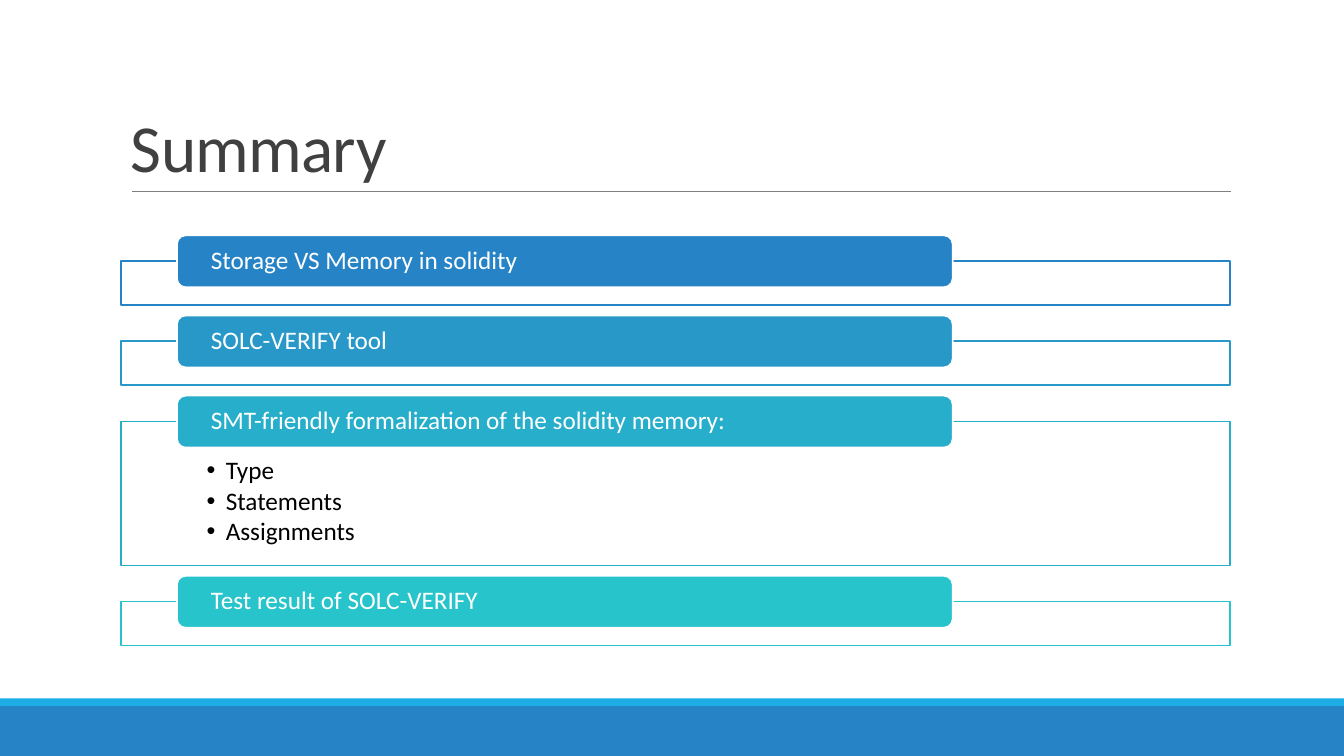
from lxml import etree
from pptx import Presentation
from pptx.dml.color import RGBColor
from pptx.enum import shapes, text
from pptx.oxml import ns
from pptx.util import Cm, Pt

WHITE = RGBColor(0xFF, 0xFF, 0xFF)
BLACK = RGBColor(0, 0, 0)
DARK = RGBColor(0x40, 0x40, 0x40)
GRAY = RGBColor(0x80, 0x80, 0x80)
SKY = RGBColor(0x1C, 0xAD, 0xE4)
BLUE = RGBColor(0x26, 0x83, 0xC6)
AZURE = RGBColor(0x27, 0x98, 0xC8)
CYAN = RGBColor(0x27, 0xAE, 0xCA)
TEAL = RGBColor(0x28, 0xC4, 0xCC)

LEFT, WIDTH = 3.05, 27.94
HEADER_LEFT, HEADER_WIDTH, HEADER_HEIGHT = 4.46, 19.55, 1.31
OVERLAP, GAP = 0.65, 0.26
EMPTY, FILLED = 1.11, 3.63

SECTIONS = [
    ("Storage VS Memory in solidity", BLUE, []),
    ("SOLC-VERIFY tool", AZURE, []),
    ("SMT-friendly formalization of the solidity memory:", CYAN,
     ["Type", "Statements", "Assignments"]),
    ("Test result of SOLC-VERIFY", TEAL, []),
]


def write(sp, lines, size=18, color=BLACK, anchor=text.MSO_ANCHOR.TOP,
          insets=(0.25, 0.13, 0.25, 0.13), spacing=0.9, after=0,
          bullet=False, tracking=None):
    tf = sp.text_frame
    tf.word_wrap = True
    tf.auto_size = text.MSO_AUTO_SIZE.NONE
    tf.vertical_anchor = anchor
    tf.margin_left, tf.margin_top, tf.margin_right, tf.margin_bottom = map(Cm, insets)
    for i, line in enumerate(lines):
        p = tf.paragraphs[0] if i == 0 else tf.add_paragraph()
        p.alignment = text.PP_ALIGN.LEFT
        p.line_spacing = spacing
        p.space_before, p.space_after = Pt(0), Pt(after)
        if bullet:
            pPr = p._p.get_or_add_pPr()
            pPr.set("marL", str(Cm(0.48)))
            pPr.set("indent", str(Cm(-0.48)))
            etree.SubElement(pPr, ns.qn("a:buChar")).set("char", "•")
        r = p.add_run()
        r.text = line
        r.font.name, r.font.size = "Calibri", Pt(size)
        r.font.color.rgb = color
        if tracking is not None:
            r._r.get_or_add_rPr().set("spc", str(int(tracking * 100)))


class SummarySlide:
    def __init__(self, prs):
        self.s = prs.slides.add_slide(prs.slide_layouts[1])
        self.line_width = Pt(1.25)

    def place(self, sp, x, y, w, h):
        sp.left, sp.top, sp.width, sp.height = map(Cm, (x, y, w, h))
        return sp

    def paint(self, sp, fill, line=None):
        sp.fill.solid()
        sp.fill.fore_color.rgb = fill
        if line is None:
            sp.line.fill.background()
        else:
            sp.line.color.rgb = line
            sp.line.width = self.line_width

    def box(self, x, y, w, h, fill, line=None, kind=shapes.MSO_SHAPE.RECTANGLE):
        sp = self.s.shapes.add_shape(kind, *map(Cm, (x, y, w, h)))
        sp.shadow.inherit = False
        self.paint(sp, fill, line)
        return sp

    def rule(self, x1, x2, y):
        cxn = self.s.shapes.add_connector(
            shapes.MSO_CONNECTOR.STRAIGHT, Cm(x1), Cm(y), Cm(x2), Cm(y))
        cxn.line.color.rgb, cxn.line.width = GRAY, Pt(0.5)
        etree.SubElement(cxn._element.spPr, ns.qn("a:effectLst"))

    def title(self, words):
        sp = self.place(self.s.shapes.title, LEFT, 0.79, WIDTH, 4.04)
        write(sp, [words], size=48, color=DARK, spacing=0.85,
              anchor=text.MSO_ANCHOR.BOTTOM, tracking=-0.5)

    def list(self, items, y, color):
        sp = self.place(self.s.placeholders[1], LEFT, y, WIDTH, FILLED)
        self.paint(sp, WHITE, color)
        write(sp, items, insets=(2.16, 0.91, 2.16, 0.36), after=2.5, bullet=True)

    def header(self, words, y, color):
        sp = self.box(HEADER_LEFT, y, HEADER_WIDTH, HEADER_HEIGHT, color, WHITE,
                      shapes.MSO_SHAPE.ROUNDED_RECTANGLE)
        write(sp, [words], color=WHITE, anchor=text.MSO_ANCHOR.MIDDLE,
              insets=(0.79, 0, 0.79, 0))

    def section(self, words, color, items, y):
        height = FILLED if items else EMPTY
        if items:
            self.list(items, y + OVERLAP, color)
        else:
            self.box(LEFT, y + OVERLAP, WIDTH, height, WHITE, color)
        self.header(words, y, color)
        return y + OVERLAP + height + GAP


def main():
    prs = Presentation()
    prs.slide_width, prs.slide_height = Cm(33.87), Cm(19.05)
    slide = SummarySlide(prs)
    slide.rule(3.33, 31.01, 4.83)
    slide.box(0, 17.78, 33.87, 1.27, BLUE)
    slide.box(0, 17.6, 33.87, 0.19, SKY)
    slide.title("Summary")
    y = 5.93
    for words, color, items in SECTIONS:
        y = slide.section(words, color, items, y)
    prs.save("out.pptx")


if __name__ == "__main__":
    main()
